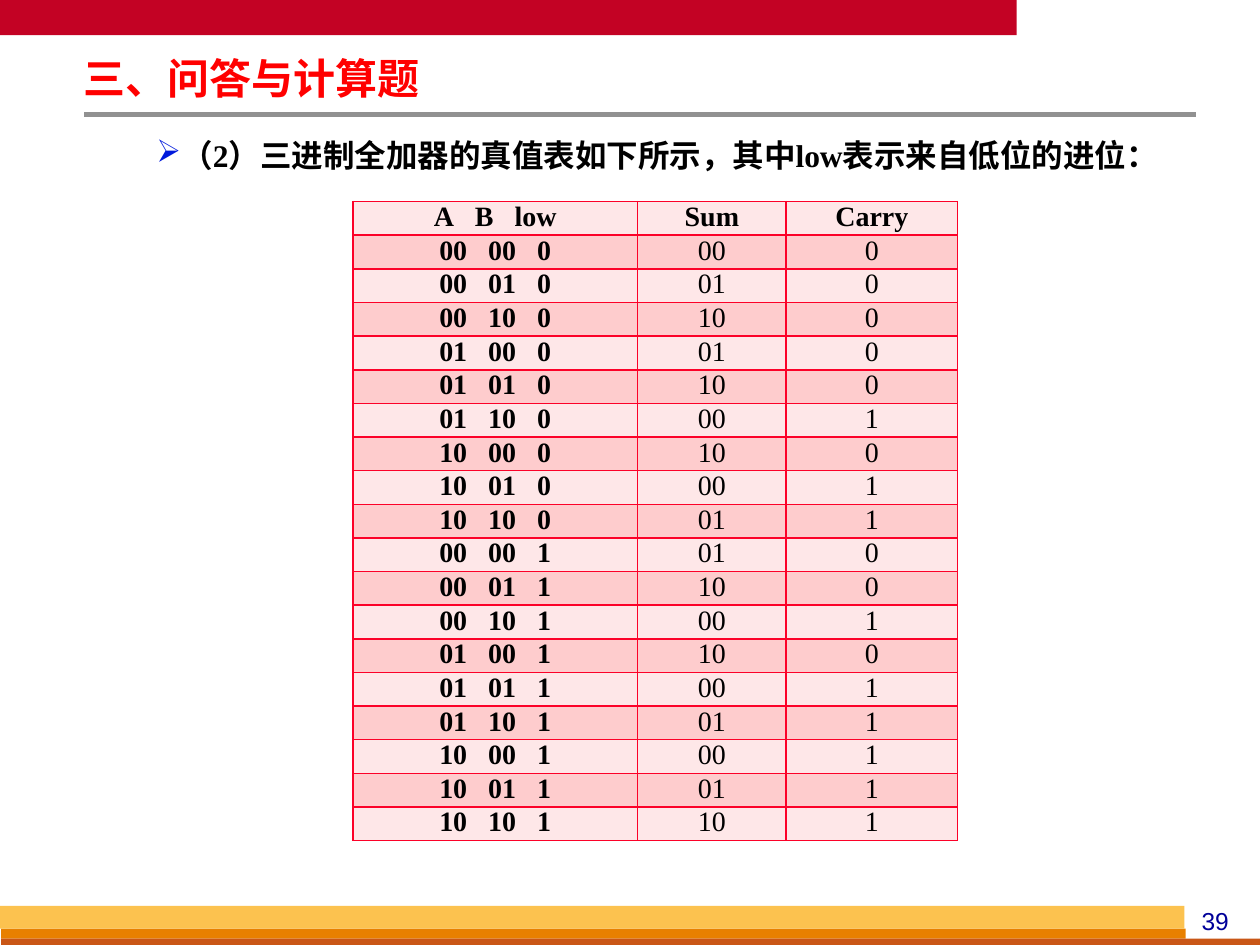
import itertools
from dataclasses import dataclass

import lxml.etree
import pptx
import pptx.dml.color
import pptx.enum.shapes
import pptx.enum.text
import pptx.oxml.ns
import pptx.util

Inches = pptx.util.Inches
Pt = pptx.util.Pt
Align = pptx.enum.text.PP_ALIGN
qn = pptx.oxml.ns.qn


@dataclass(frozen=True)
class Theme:
    serif: str = "Times New Roman"
    sans: str = "Arial"
    ink: str = "000000"
    title: str = "FF0000"
    bullet: str = "001ADC"
    page: str = "000099"
    rule: str = "919191"
    header_bar: str = "C30224"
    footer_gold: str = "FCC24F"
    footer_orange: str = "E88000"
    footer_rust: str = "C95616"
    border: str = "FC0128"
    row_light: str = "FEE7E8"
    row_dark: str = "FECCCD"
    title_size: float = 24
    question_size: float = 18
    table_size: float = 16
    page_size: float = 14


THEME = Theme()


@dataclass(frozen=True)
class Bar:
    left: float
    top: float
    width: float
    height: float
    color: str


BARS = [
    Bar(0, 0, 8.07, 0.28, THEME.header_bar),
    Bar(0.01, 7.37, 9.4, 0.08, THEME.footer_orange),
    Bar(0.01, 7.45, 10, 0.08, THEME.footer_rust),
    Bar(0, 7.19, 9.4, 0.18, THEME.footer_gold),
]
COLUMN_WIDTHS = [2.26, 1.18, 1.36]
TABLE_HEIGHT = 5.07


def rgb(color: str):
    return pptx.dml.color.RGBColor.from_string(color)


def write(frame, text: str, *, size: float, color: str = THEME.ink, font: str = THEME.serif,
          bold: bool = False, align=Align.LEFT, line_spacing: float = 1.0, word_gap: float = 0):
    paragraph = frame.paragraphs[0]
    paragraph.alignment = align
    paragraph.line_spacing = line_spacing
    pieces = [text]
    if word_gap:
        words = text.split()
        pieces = [piece for word in words for piece in (" ", word)][1:]
    for piece in pieces:
        run = paragraph.add_run()
        run.text = piece
        run.font.size = Pt(size)
        run.font.name = font
        run.font.bold = bold
        run.font.color.rgb = rgb(color)
        if piece == " ":
            run.font._element.set("spc", str(int(word_gap * 100)))
    return paragraph


def add_frame(slide, left: float, top: float, width: float, height: float,
              inset_x: float = 0.07, inset_y: float = 0.03):
    frame = slide.shapes.add_textbox(
        Inches(left), Inches(top), Inches(width), Inches(height)).text_frame
    frame.word_wrap = True
    frame.margin_left = frame.margin_right = Inches(inset_x)
    frame.margin_top = frame.margin_bottom = Inches(inset_y)
    return frame


def add_bar(slide, bar: Bar) -> None:
    shape = slide.shapes.add_shape(
        pptx.enum.shapes.MSO_SHAPE.RECTANGLE,
        Inches(bar.left), Inches(bar.top), Inches(bar.width), Inches(bar.height))
    shape.shadow.inherit = False
    shape.fill.solid()
    shape.fill.fore_color.rgb = rgb(bar.color)
    shape.line.fill.background()


def add_rule(slide) -> None:
    rule = slide.shapes.add_connector(
        pptx.enum.shapes.MSO_CONNECTOR.STRAIGHT,
        Inches(0.67), Inches(0.91), Inches(9.49), Inches(0.91))
    rule.line.color.rgb = rgb(THEME.rule)
    rule.line.width = Pt(3)
    lxml.etree.SubElement(rule._element.spPr, qn("a:effectLst"))


def add_bullet(paragraph, mark: str, indent: float) -> None:
    properties = paragraph._p.get_or_add_pPr()
    properties.set("marL", str(Inches(indent)))
    properties.set("indent", "0")
    color = lxml.etree.SubElement(properties, qn("a:buClr"))
    lxml.etree.SubElement(color, qn("a:srgbClr"), val=THEME.bullet)
    lxml.etree.SubElement(properties, qn("a:buChar"), char=mark)


def style_cell(cell, fill: str) -> None:
    properties = cell._tc.get_or_add_tcPr()
    for side in ("a:lnL", "a:lnR", "a:lnT", "a:lnB"):
        edge = lxml.etree.SubElement(properties, qn(side), w=str(Pt(1)))
        paint = lxml.etree.SubElement(edge, qn("a:solidFill"))
        lxml.etree.SubElement(paint, qn("a:srgbClr"), val=THEME.border)
    cell.fill.solid()
    cell.fill.fore_color.rgb = rgb(fill)
    cell.margin_left = cell.margin_right = Inches(0.04)
    cell.margin_top = cell.margin_bottom = 0


def truth_rows() -> list[tuple[str, str, str]]:
    rows = [("A B low", "Sum", "Carry")]
    for low, a, b in itertools.product(range(2), range(3), range(3)):
        carry, digit = divmod(a + b + low, 3)
        rows.append((f"{a:02b} {b:02b} {low}", f"{digit:02b}", str(carry)))
    return rows


def add_truth_table(slide) -> None:
    rows = truth_rows()
    table = slide.shapes.add_table(
        len(rows), len(COLUMN_WIDTHS), Inches(2.8), Inches(1.6),
        Inches(sum(COLUMN_WIDTHS)), Inches(TABLE_HEIGHT)).table
    table.first_row = table.horz_banding = False
    for column, width in zip(table.columns, COLUMN_WIDTHS):
        column.width = Inches(width)
    for row_index, values in enumerate(rows):
        table.rows[row_index].height = Inches(TABLE_HEIGHT / len(rows))
        fill = THEME.row_dark if row_index % 2 else THEME.row_light
        for column_index, value in enumerate(values):
            cell = table.cell(row_index, column_index)
            style_cell(cell, fill)
            write(cell.text_frame, value, size=THEME.table_size, align=Align.CENTER,
                  bold=row_index == 0 or column_index == 0,
                  word_gap=8 if column_index == 0 else 0)


def main() -> None:
    deck = pptx.Presentation()
    deck.slide_width, deck.slide_height = Inches(10), Inches(7.5)
    slide = deck.slides.add_slide(deck.slide_layouts[6])

    for bar in BARS:
        add_bar(slide, bar)
    add_rule(slide)

    write(add_frame(slide, 9.33, 7.14, 0.63, 0.33, 0.1, 0.05), "39",
          size=THEME.page_size, color=THEME.page, font=THEME.sans, align=Align.CENTER)
    write(add_frame(slide, 0.59, 0.44, 5.75, 0.41), "三、问答与计算题",
          size=THEME.title_size, color=THEME.title, bold=True, line_spacing=0.87)
    question = write(
        add_frame(slide, 0.75, 0.99, 8.58, 0.42),
        "（2）三进制全加器的真值表如下所示，其中low表示来自低位的进位：",
        size=THEME.question_size, bold=True, line_spacing=1.2)
    question.space_before = question.space_after = Pt(3.6)
    add_bullet(question, "➢", 0.42)

    add_truth_table(slide)
    deck.save("out.pptx")


if __name__ == "__main__":
    main()
